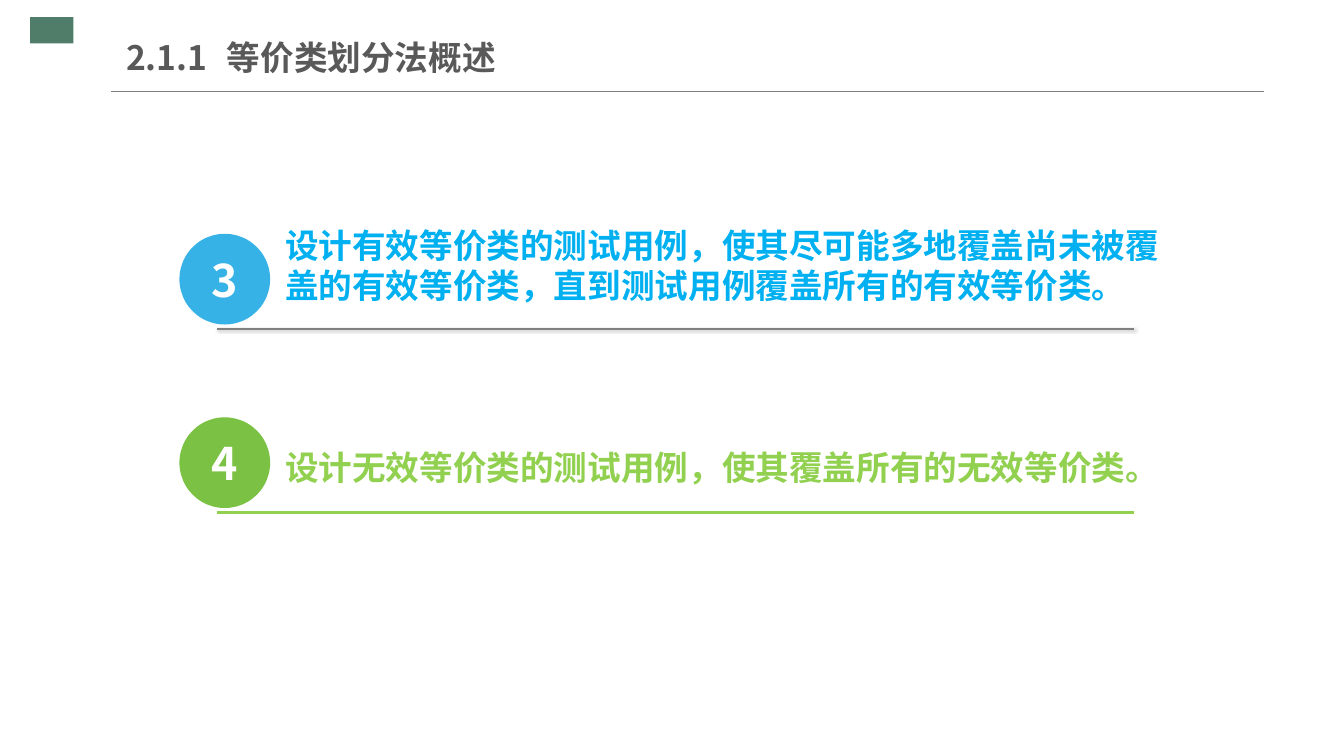
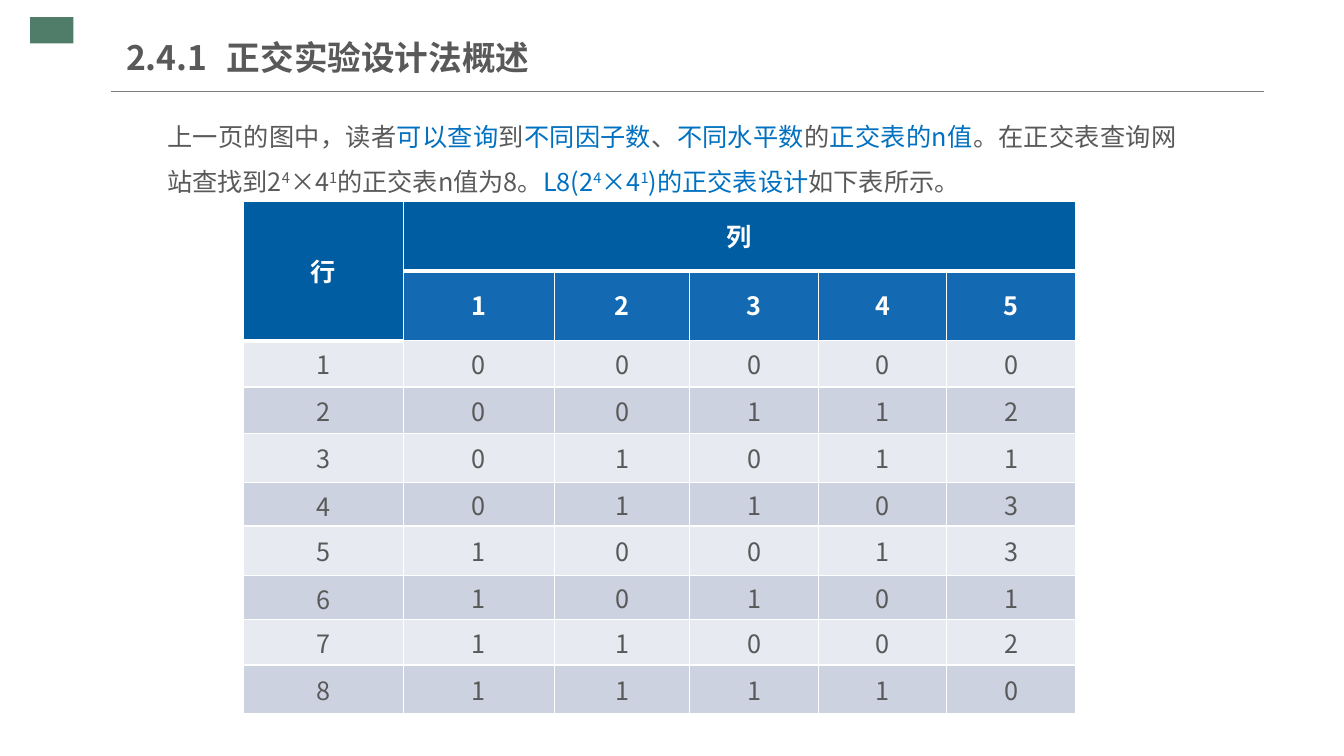
from lxml.etree import SubElement as Sub
from pptx import Presentation
from pptx.dml.color import RGBColor as Rgb
from pptx.enum.shapes import MSO_CONNECTOR as Conn, MSO_SHAPE as Form
from pptx.enum.text import MSO_ANCHOR as Anchor, MSO_AUTO_SIZE as Auto, PP_ALIGN as Align
from pptx.oxml.ns import qn
from pptx.util import Inches, Pt

WIDE, HIGH = Inches(13.33), Inches(7.5)
FONT, SERIF = "Noto Sans CJK SC", "Times New Roman"
GRAY, RULE, WHITE, BLUE = "595959", "808080", "FFFFFF", "0070C0"
GREEN, HEAD, SUBHEAD = "4F7D6A", "005DA2", "1369B2"
BANDS = "E7EAF0", "CCD2E0"

STEPS = [
    ("3", "36B2E6", RULE, 1, (29.07, 66.6, 12.13), "00B0F0", SERIF,
     "设计有效等价类的测试用例，使其尽可能多地覆盖尚未被覆盖的有效等价类，直到测试用例覆盖所有的有效等价类。"),
    ("4", "7BC143", "92D050", 1.5, (58.4, 65.1, 6.67), "92D050", FONT,
     "设计无效等价类的测试用例，使其覆盖所有的无效等价类。"),
]
INTRO = [
    ("上一页的图中，读者", GRAY), ("可以查询", BLUE), ("到", GRAY),
    ("不同因子数", BLUE), ("、", GRAY), ("不同水平数", BLUE), ("的", GRAY),
    ("正交表的n值", BLUE), ("。在正交表查询网站查找到2", GRAY),
    ("4", GRAY, True), ("×4", GRAY), ("1", GRAY, True),
    ("的正交表n值为8。", GRAY), ("L8(2", BLUE), ("4", BLUE, True),
    ("×4", BLUE), ("1", BLUE, True), (")的正交表设计", BLUE),
    ("如下表所示。", GRAY),
]
COLS = [11.93, 11.25, 10.05, 9.6, 9.53, 9.6]
ROWS = [9.2, 9.2, 6.13, 6.13, 6.53, 5.73, 6.53, 5.87, 6, 6.4]
ARRAY = ["00000", "00112", "01011", "01103", "10013", "10101", "11002", "11110"]


def across(part):
    """Turn a percentage of the slide's width into a length."""
    return round(WIDE * part / 100)


def down(part):
    """Turn a percentage of the slide's height into a length."""
    return round(HIGH * part / 100)


def area(left, top, wide, high):
    """Turn four percentages into a position and a size."""
    return across(left), down(top), across(wide), down(high)


def tint(code):
    """Turn a hex string into a colour."""
    return Rgb.from_string(code)


def paint(fill, code):
    """Make a fill solid in one colour."""
    fill.solid()
    fill.fore_color.rgb = tint(code)


def write(para, text, size, code, bold=False, font=FONT, raised=False):
    """Add one styled run to a paragraph."""
    run = para.add_run()
    run.text = text
    face = run.font
    face.size, face.bold, face.name = Pt(size), bold, font
    face.color.rgb = tint(code)
    props = run._r.get_or_add_rPr()
    Sub(props, qn("a:ea"), typeface=FONT)
    if raised:
        props.set("baseline", "30000")


def label(slide, place, grow=True):
    """Add a wrapping text box and return its frame."""
    frame = slide.shapes.add_textbox(*area(*place)).text_frame
    frame.word_wrap = True
    frame.auto_size = Auto.SHAPE_TO_FIT_TEXT if grow else Auto.NONE
    return frame


def solid(slide, form, place, code):
    """Add a plain filled shape."""
    shape = slide.shapes.add_shape(form, *area(*place))
    shape.shadow.inherit = False
    paint(shape.fill, code)
    shape.line.fill.background()
    return shape


def rule(slide, left, right, top, code, width, shade=False):
    """Draw a level line, with a soft shadow if asked."""
    line = slide.shapes.add_connector(
        Conn.STRAIGHT, across(left), down(top), across(right), down(top))
    line.line.color.rgb = tint(code)
    line.line.width = Pt(width)
    effects = Sub(line._element.spPr, qn("a:effectLst"))
    if shade:
        cast = Sub(effects, qn("a:outerShdw"), blurRad=str(Pt(2)),
                   dist=str(Pt(1)), dir="2700000", rotWithShape="0")
        color = Sub(cast, qn("a:srgbClr"), val="000000")
        Sub(color, qn("a:alpha"), val="40000")


def page(deck, title):
    """Add a slide with the shared marker, title and rule."""
    slide = deck.slides.add_slide(deck.slide_layouts[6])
    solid(slide, Form.RECTANGLE, (2.25, 2.27, 3.22, 3.47), GREEN)
    rule(slide, 8.25, 94.05, 12.13, RULE, 0.75)
    frame = label(slide, (9.38, 3.87, 31.95, 7.33), grow=False)
    frame.margin_left = frame.margin_right = 0
    frame.vertical_anchor = Anchor.MIDDLE
    write(frame.paragraphs[0], title, 24, GRAY, True)
    return slide


def step(slide, top, item):
    """Add a numbered disc, its underline and its sentence."""
    mark, disc, edge, width, (high, wide, tall), code, font, text = item
    shape = solid(slide, Form.FLOWCHART_CONNECTOR, (13.35, top, 6.75, 12), disc)
    para = shape.text_frame.paragraphs[0]
    para.alignment = Align.CENTER
    write(para, mark, 32, WHITE, True)
    rule(slide, 16.13, 84.38, top + 12.6, edge, width, shade=edge == RULE)
    frame = label(slide, (20.48, high, wide, tall))
    write(frame.paragraphs[0], text, 24, code, True, font)


def border(cell, base):
    """Give a cell white edges, the lower one of a set width."""
    props = cell._tc.get_or_add_tcPr()
    for side, width in zip("LRTB", (1, 1, 1, base)):
        edge = Sub(props, qn(f"a:ln{side}"), w=str(Pt(width)))
        fill = Sub(edge, qn("a:solidFill"))
        Sub(fill, qn("a:srgbClr"), val=WHITE)


def fill(cell, text, back, head=False, tight=False, base=1):
    """Set a cell's edges, colour and centred text."""
    border(cell, base)
    paint(cell.fill, back)
    cell.vertical_anchor = Anchor.MIDDLE
    if tight:
        cell.margin_left = cell.margin_right = Inches(0.07)
        cell.margin_top = cell.margin_bottom = 0
    para = cell.text_frame.paragraphs[0]
    para.alignment = Align.CENTER
    if head:
        para.line_spacing = 0.9
    if text:
        write(para, text, 18, WHITE if head else GRAY, head)


def grid(slide):
    """Add the orthogonal array as a table."""
    place = area(18.08, 26.67, sum(COLS), sum(ROWS))
    table = slide.shapes.add_table(len(ROWS), len(COLS), *place).table
    table.first_row = table.horz_banding = False
    for col, part in zip(table.columns, COLS):
        col.width = across(part)
    for row, part in zip(table.rows, ROWS):
        row.height = down(part)
    for col in range(len(COLS)):
        top = {0: "行", 1: "列"}.get(col, "")
        fill(table.cell(0, col), top, HEAD, head=True, base=3)
        low = (str(col), SUBHEAD) if col else ("", HEAD)
        fill(table.cell(1, col), *low, head=True, base=1 if col else 3)
    table.cell(0, 0).merge(table.cell(1, 0))
    table.cell(0, 1).merge(table.cell(0, len(COLS) - 1))
    for num, line in enumerate(ARRAY, 1):
        for col, text in enumerate(str(num) + line):
            fill(table.cell(num + 1, col), text, BANDS[(num - 1) % 2], tight=col > 0)


def main():
    """Build both slides and save them."""
    deck = Presentation()
    deck.slide_width, deck.slide_height = WIDE, HIGH
    slide = page(deck, "2.1.1\t等价类划分法概述")
    for num, item in enumerate(STEPS):
        step(slide, 30.93 + 24.27 * num, item)
    slide = page(deck, "2.4.1\t正交实验设计法概述")
    para = label(slide, (11.7, 13.33, 76.58, 13.47)).paragraphs[0]
    para.alignment, para.line_spacing = Align.JUSTIFY, 1.5
    for text, code, *raised in INTRO:
        write(para, text, 18, code, raised=bool(raised))
    grid(slide)
    deck.save("out.pptx")


if __name__ == "__main__":
    main()
